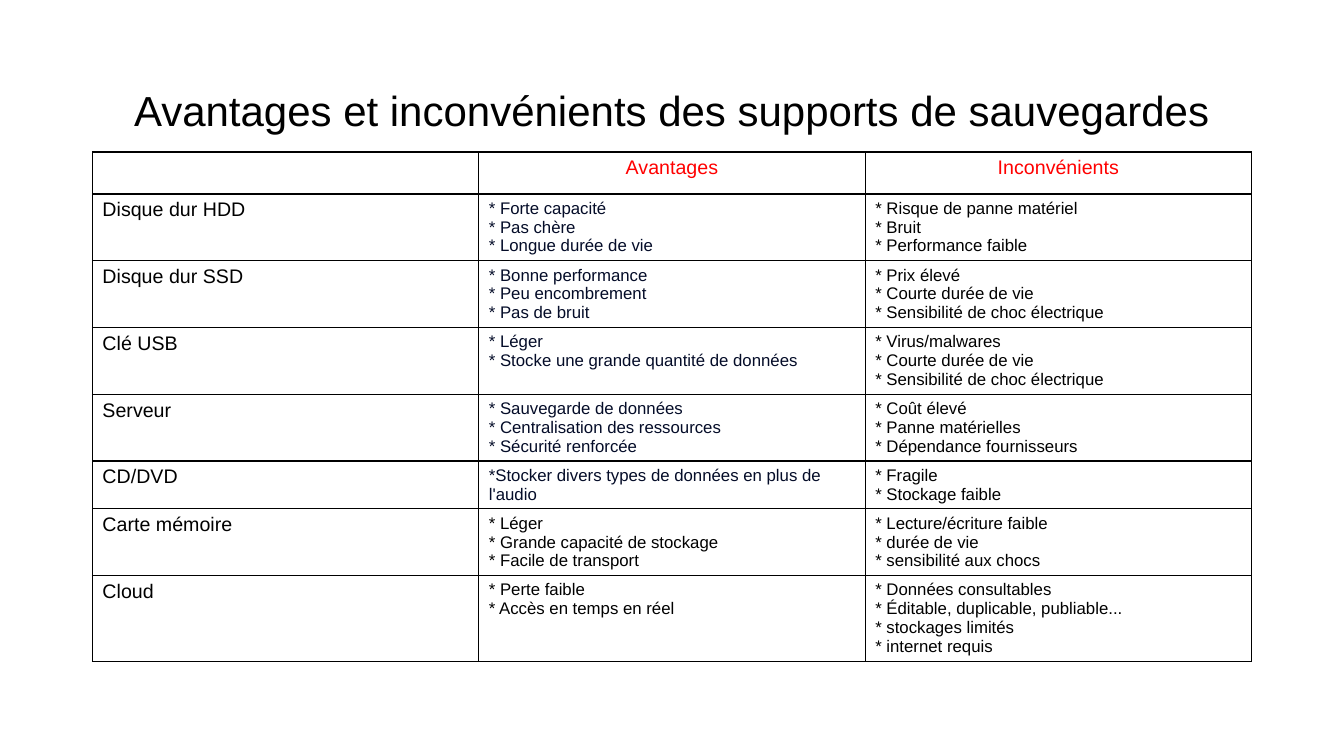
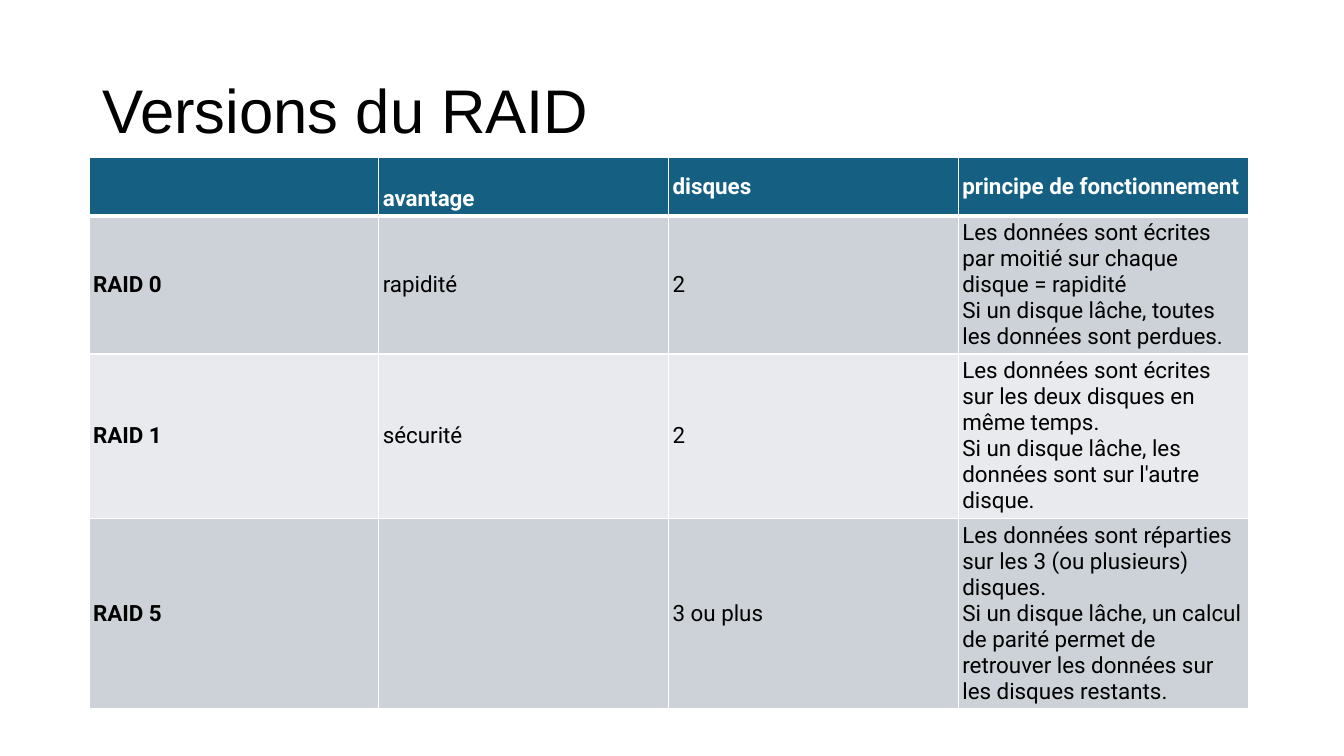
from lxml import etree
from pptx import Presentation
from pptx.dml.color import RGBColor
from pptx.enum.text import MSO_ANCHOR, PP_ALIGN
from pptx.oxml.ns import qn
from pptx.util import Inches, Pt

LEFT, CENTER = PP_ALIGN.LEFT, PP_ALIGN.CENTER
TOP, MIDDLE, BOTTOM = MSO_ANCHOR.TOP, MSO_ANCHOR.MIDDLE, MSO_ANCHOR.BOTTOM
TITLE_ONLY = 5
WIDTH, HEIGHT = Inches(13.33), Inches(7.5)
GRID_COLUMNS, GRID_ROWS = 160, 90
CONTENT_LEFT, CONTENT_WIDTH = 11, 138

COLORS = {
    "black": "000000",
    "white": "FFFFFF",
    "red": "FF0000",
    "navy": "040C28",
    "header": "156082",
    "band_dark": "CCD2D8",
    "band_light": "E8EAED",
}

SUPPORTS = [
    ("Disque dur HDD",
     ["* Forte capacité", "* Pas chère", "* Longue durée de vie"],
     ["* Risque de panne matériel", "* Bruit", "* Performance faible"]),
    ("Disque dur SSD",
     ["* Bonne performance", "* Peu encombrement", "* Pas de bruit"],
     ["* Prix élevé", "* Courte durée de vie", "* Sensibilité de choc électrique"]),
    ("Clé USB",
     ["* Léger", "* Stocke une grande quantité de données"],
     ["* Virus/malwares", "* Courte durée de vie", "* Sensibilité de choc électrique"]),
    ("Serveur",
     ["* Sauvegarde de données", "* Centralisation des ressources", "* Sécurité renforcée"],
     ["* Coût élevé", "* Panne matérielles", "* Dépendance fournisseurs"]),
    ("CD/DVD",
     ["*Stocker divers types de données en plus de l'audio"],
     ["* Fragile", "* Stockage faible"]),
    ("Carte mémoire",
     ["* Léger", "* Grande capacité de stockage", "* Facile de transport"],
     ["* Lecture/écriture faible", "* durée de vie", "* sensibilité aux chocs"]),
    ("Cloud",
     ["* Perte faible", "* Accès en temps en réel"],
     ["* Données consultables", "* Éditable, duplicable, publiable...",
      "* stockages limités", "* internet requis"]),
]
NAVY_ROWS = 5

RAID_HEADER = ["", "avantage", "disques", "principe de fonctionnement"]
RAID_LEVELS = [
    ("RAID 0", "rapidité", "2",
     ["Les données sont écrites par moitié sur chaque disque = rapidité",
      "Si un disque lâche, toutes les données sont perdues."]),
    ("RAID 1", "sécurité", "2",
     ["Les données sont écrites sur les deux disques en même temps.",
      "Si un disque lâche, les données sont sur l'autre disque."]),
    ("RAID 5", "", "3 ou plus",
     ["Les données sont réparties sur les 3 (ou plusieurs) disques.",
      "Si un disque lâche, un calcul de parité permet de retrouver les données "
      "sur les disques restants."]),
]
RAID_LINES = [5, 6, 7]


class Deck:
    """Hold the shared style and the current slide, measured on a fine grid."""

    def __init__(self):
        self.presentation = Presentation()
        self.presentation.slide_width = WIDTH
        self.presentation.slide_height = HEIGHT
        self.slide = None

    def x(self, columns):
        return round(WIDTH * columns / GRID_COLUMNS)

    def y(self, rows):
        return round(HEIGHT * rows / GRID_ROWS)

    def format(self, paragraph, size, color, font="Arial", bold=False, align=LEFT):
        paragraph.alignment = align
        paragraph.font.name = font
        paragraph.font.size = Pt(size)
        paragraph.font.bold = bold
        paragraph.font.color.rgb = RGBColor.from_string(COLORS[color])

    def add_slide(self, title, size, align=LEFT):
        layout = self.presentation.slide_layouts[TITLE_ONLY]
        self.slide = self.presentation.slides.add_slide(layout)
        shape = self.slide.shapes.title
        shape.left, shape.top = self.x(CONTENT_LEFT), self.y(4.8)
        shape.width, shape.height = self.x(CONTENT_WIDTH), self.y(17.4)
        frame = shape.text_frame
        frame.text = title
        frame.word_wrap = True
        frame.vertical_anchor = MIDDLE
        frame.paragraphs[0].line_spacing = 0.9
        self.format(frame.paragraphs[0], size, "black", align=align)

    def add_table(self, left, top, column_count, row_heights):
        frame = self.slide.shapes.add_table(
            len(row_heights), column_count, self.x(left), self.y(top),
            self.x(CONTENT_WIDTH), self.y(sum(row_heights)))
        table = frame.table
        table.first_row = table.horz_banding = False
        for row, height in zip(table.rows, row_heights):
            row.height = self.y(height)
        return table

    def fill_cell(self, cell, content, size, color, fill=None, border="black",
                  bottom=1, anchor=TOP, margin=None, **style):
        lines = [content] if isinstance(content, str) else content
        cell.text = "\n".join(lines)
        cell.vertical_anchor = anchor
        if margin is not None:
            cell.margin_left = cell.margin_right = Inches(margin)
            cell.margin_top = cell.margin_bottom = Inches(margin)
        for paragraph in cell.text_frame.paragraphs:
            self.format(paragraph, size, color, **style)
        if fill:
            cell.fill.solid()
            cell.fill.fore_color.rgb = RGBColor.from_string(COLORS[fill])
        else:
            cell.fill.background()
        self.add_borders(cell, border, bottom)

    def add_borders(self, cell, color, bottom):
        properties = cell._tc.get_or_add_tcPr()
        widths = {"a:lnL": 1, "a:lnR": 1, "a:lnT": 1, "a:lnB": bottom}
        for position, (tag, width) in enumerate(widths.items()):
            line = etree.Element(qn(tag), w=str(Pt(width)))
            solid = etree.SubElement(line, qn("a:solidFill"))
            etree.SubElement(solid, qn("a:srgbClr"), val=COLORS[color])
            properties.insert(position, line)


def build_supports(deck):
    deck.add_slide("Avantages et inconvénients des supports de sauvegardes", 30, CENTER)
    line_counts = [max(2, len(pros), len(cons)) for _, pros, cons in SUPPORTS]
    heights = [5] + [1.2 + 2.25 * count for count in line_counts]
    table = deck.add_table(CONTENT_LEFT, 18.1, 3, heights)
    for column, heading in enumerate(["", "Avantages", "Inconvénients"]):
        deck.fill_cell(table.cell(0, column), heading, 14, "red", align=CENTER)
    for row, (support, pros, cons) in enumerate(SUPPORTS, 1):
        pros_color = "navy" if row <= NAVY_ROWS else "black"
        deck.fill_cell(table.cell(row, 0), support, 14, "black")
        deck.fill_cell(table.cell(row, 1), pros, 12, pros_color)
        deck.fill_cell(table.cell(row, 2), cons, 12, "black")


def build_raid(deck):
    deck.add_slide("Versions du RAID", 44)
    heights = [7] + [0.95 + 3.1 * count for count in RAID_LINES]
    table = deck.add_table(10.6, 18.7, len(RAID_HEADER), heights)
    style = {"size": 16, "font": "Roboto", "border": "white", "margin": 0.04}
    for column, heading in enumerate(RAID_HEADER):
        anchor = BOTTOM if heading == "avantage" else MIDDLE
        deck.fill_cell(table.cell(0, column), heading, color="white", fill="header",
                       bottom=3, anchor=anchor, bold=True, **style)
    for row, level in enumerate(RAID_LEVELS, 1):
        band = "band_dark" if row % 2 else "band_light"
        for column, content in enumerate(level):
            deck.fill_cell(table.cell(row, column), content, color="black", fill=band,
                           anchor=MIDDLE, bold=column == 0, **style)


def main():
    deck = Deck()
    build_supports(deck)
    build_raid(deck)
    deck.presentation.save("out.pptx")


if __name__ == "__main__":
    main()
